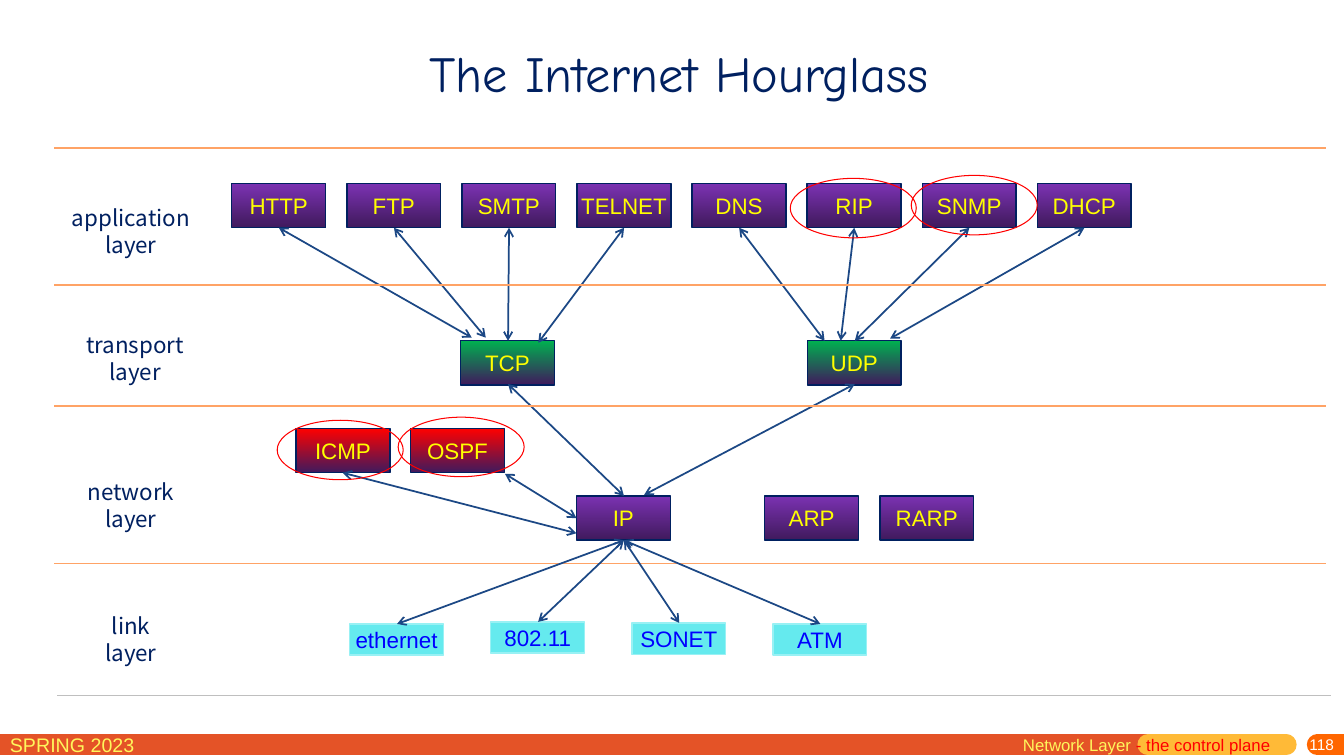
from lxml import etree
from pptx import Presentation
from pptx.dml.color import RGBColor
from pptx.enum.shapes import MSO_CONNECTOR, MSO_SHAPE
from pptx.enum.text import MSO_ANCHOR, PP_ALIGN
from pptx.oxml.ns import qn
from pptx.util import Pt

LEFT, MID, RIGHT = PP_ALIGN.LEFT, PP_ALIGN.CENTER, PP_ALIGN.RIGHT
TOP, HALF = MSO_ANCHOR.TOP, MSO_ANCHOR.MIDDLE
RECT, OVAL, LINE = MSO_SHAPE.RECTANGLE, MSO_SHAPE.OVAL, MSO_CONNECTOR.STRAIGHT
NAVY, BLUE, RED, LEMON = "002060", "1C4885", "FF0000", "FFF65C"
PURPLE, GREEN, DARK, PEACH = "7B32B2", "00B050", "401A5D", "FFA366"
hue = RGBColor.from_string

deck = Presentation()
deck.slide_width, deck.slide_height = Pt(960), Pt(540)
slide = deck.slides.add_slide(deck.slide_layouts[5])
shapes = slide.shapes


def write(shape, text, size=16, font="Arial", tint="FFFF00", align=MID,
          anchor=HALF, pad=(0, 0, 0, 0), pitch=None, wrap=True):
    frame = shape.text_frame
    frame.word_wrap, frame.vertical_anchor = wrap, anchor
    frame.margin_left, frame.margin_top, frame.margin_right, frame.margin_bottom = map(Pt, pad)
    for row, part in enumerate(text.split("\n")):
        para = frame.add_paragraph() if row else frame.paragraphs[-1]
        para.alignment = align
        if pitch:
            para.line_spacing = Pt(pitch)
        run = para.add_run()
        run.text = part
        run.font.size, run.font.name = Pt(size), font
        run.font.color.rgb = hue(tint)


def draw(x1, y1, x2, y2, tint=BLUE, width=1.25, heads=False, cap="flat"):
    link = shapes.add_connector(LINE, Pt(x1), Pt(y1), Pt(x2), Pt(y2))
    link.line.color.rgb, link.line.width = hue(tint), Pt(width)
    edge = link.line._get_or_add_ln()
    edge.set("cap", cap)
    if heads:
        for end in ("a:headEnd", "a:tailEnd"):
            etree.SubElement(edge, qn(end)).set("type", "arrow")
    etree.SubElement(link._element.spPr, qn("a:effectLst"))


draw(0, 532, 820, 532, "E45327", 15)
draw(820, 532, 918.7, 532, "FFBA37", 15, cap="rnd")
draw(941, 532, 960, 532, "FF6600", 15, cap="rnd")

title = shapes.title
title.left, title.top, title.width, title.height = Pt(262), Pt(26), Pt(446), Pt(51)
write(title, "The Internet Hourglass", size=36, font="Comic Neue", tint=NAVY)

apps = ["HTTP", "FTP", "SMTP", "TELNET", "DNS", "RIP", "SNMP", "DHCP"]
rows = [
    (165.6, 131, 82.2, PURPLE, apps),
    (329, 243.4, 247.7, GREEN, ["TCP", "UDP"]),
    (211.5, 306, 81.8, RED, ["ICMP", "OSPF"]),
    (411.8, 354.2, 0, PURPLE, ["IP"]),
    (546.3, 354.2, 82.2, PURPLE, ["ARP", "RARP"]),
]
for left, top, step, tint, names in rows:
    for col, name in enumerate(names):
        box = shapes.add_shape(RECT, Pt(left + col * step), Pt(top), Pt(67), Pt(31.7))
        box.shadow.inherit = False
        box.fill.gradient()
        box.fill.gradient_angle = 270
        for stop, tone in zip(box.fill.gradient_stops, (tint, DARK)):
            stop.color.rgb = hue(tone)
        box.line.color.rgb, box.line.width = hue(NAVY), Pt(1)
        write(box, name)

ends = [(337, 241.2), (347, 241.2), (362.9, 243.4), (384.5, 244.8),
        (589, 243.4), (600.5, 243.4), (610.6, 243.4), (635.8, 241.9)]
for col, (x, y) in enumerate(ends):
    draw(199.2 + col * 82.2, 162.7, x, y, heads=True)
for path in [(362.9, 274.3, 445.7, 354.2), (610.6, 274.3, 460.1, 353.5),
             (360.7, 338.4, 411.8, 370.1), (244.8, 337.7, 411.8, 380.9)]:
    draw(*path, heads=True)

for y in (105.8, 203.8, 290.2, 402.5):
    draw(38.9, y, 947.5, y, PEACH)
draw(41, 496.8, 950.4, 496.8, "BFBFBF", 0.75)

for text, left, top, width in [
    ("application layer", 37.4, 141.8, 112.3),
    ("transport\nlayer", 32.4, 232.6, 128.2),
    ("network\nlayer", 37.4, 337.7, 112.3),
    ("link\nlayer", 37.4, 433.4, 112.3),
]:
    label = shapes.add_textbox(Pt(left), Pt(top), Pt(width), Pt(46))
    write(label, text, font="Noto Sans CJK SC", tint=NAVY, anchor=TOP,
          pad=(7.2, 3.6, 7.2, 3.6), pitch=19.4)

links = [("ethernet", 445.7), ("802.11", 444.2), ("SONET", 445), ("ATM", 445.7)]
for col, (name, top) in enumerate(links):
    left = 249.8 + col * 100.8
    box = shapes.add_shape(RECT, Pt(left), Pt(top), Pt(67), Pt(22.3))
    box.shadow.inherit = False
    box.fill.solid()
    box.fill.fore_color.rgb = hue("65EAEE")
    box.line.color.rgb, box.line.width = hue("98F1F4"), Pt(1)
    write(box, name, tint="0000FF")
    draw(left + 33.8, top, 445.7, 385.9, heads=True)

term = shapes.add_textbox(Pt(0), Pt(519.8), Pt(165), Pt(20.2))
write(term, "SPRING 2023", size=14, tint=LEMON, align=LEFT, anchor=TOP, pad=(7.2, 3.6, 7.2, 0))
page = shapes.add_textbox(Pt(774), Pt(527), Pt(186), Pt(13))
write(page, "118", size=11, tint="FFFFFF", align=RIGHT, pad=(7.2, 0, 7.2, 3.6))
topic = shapes.add_textbox(Pt(723.6), Pt(521.3), Pt(212), Pt(18.7))
look = dict(size=12, align=LEFT, anchor=TOP, pad=(7.2, 3.6, 7.2, 0), wrap=False)
write(topic, "Network Layer ", tint=LEMON, **look)
write(topic, "- the control plane", tint=RED, **look)

for left, top in [(650.9, 125.3), (284.4, 298), (198, 300.2), (564.5, 127.4)]:
    ring = shapes.add_shape(OVAL, Pt(left), Pt(top), Pt(90), Pt(42.5))
    ring.shadow.inherit = False
    ring.fill.background()
    ring.line.color.rgb, ring.line.width = hue(RED), Pt(0.75)

deck.save("out.pptx")
